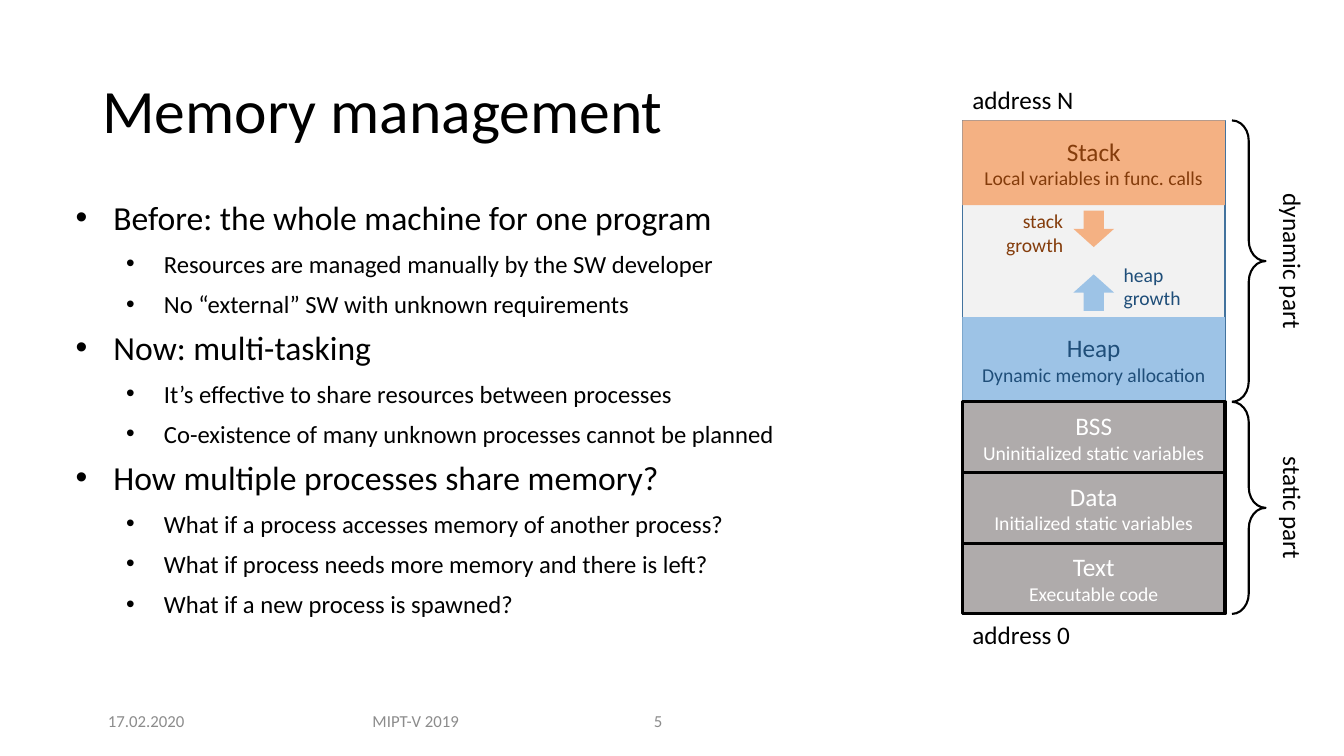
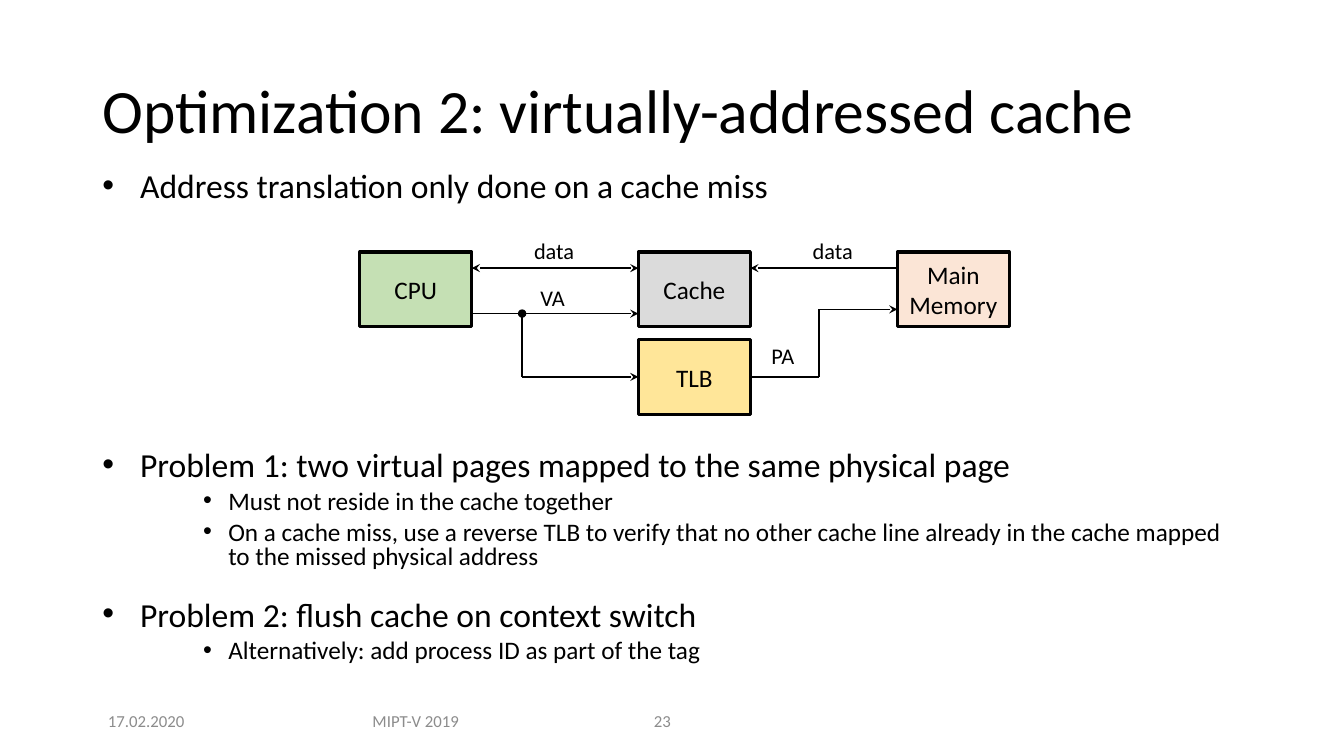
from lxml import etree
from pptx import Presentation
from pptx.dml.color import RGBColor
from pptx.enum.shapes import MSO_CONNECTOR, MSO_SHAPE
from pptx.enum.text import MSO_ANCHOR, PP_ALIGN
from pptx.oxml.ns import qn
from pptx.util import Pt

RECT, OVAL = MSO_SHAPE.RECTANGLE, MSO_SHAPE.OVAL
UP_ARROW, DOWN_ARROW = MSO_SHAPE.UP_ARROW, MSO_SHAPE.DOWN_ARROW
RIGHT_BRACE = MSO_SHAPE.RIGHT_BRACE
STRAIGHT = MSO_CONNECTOR.STRAIGHT
LEFT, CENTER, RIGHT = PP_ALIGN.LEFT, PP_ALIGN.CENTER, PP_ALIGN.RIGHT
TOP, MIDDLE = MSO_ANCHOR.TOP, MSO_ANCHOR.MIDDLE

FONT = "Calibri"
BLACK, WHITE, FOOTER_GRAY = "000000", "FFFFFF", "8C8C8C"
STACK_FILL, STACK_TEXT = "F4B183", "843C0B"
HEAP_FILL, HEAP_TEXT = "9DC3E6", "1F4E79"
STATIC_FILL, FREE_FILL, FREE_LINE = "AFABAB", "F2F2F2", "43739E"
rgb = RGBColor.from_string


def add_box(s, preset, x, y, w, h, fill=None, line=None, weight=1):
    sp = s.shapes.add_shape(preset, Pt(x), Pt(y), Pt(w), Pt(h))
    sp.shadow.inherit = False
    if fill:
        sp.fill.solid()
        sp.fill.fore_color.rgb = rgb(fill)
    else:
        sp.fill.background()
    if line:
        sp.line.color.rgb = rgb(line)
        sp.line.width = Pt(weight)
    else:
        sp.line.fill.background()
    return sp


def write(sp, lines, color=BLACK, align=LEFT, anchor=TOP, wrap=True, spacing=1.0):
    """Fill a shape with (text, size) paragraphs."""
    tf = sp.text_frame
    tf.word_wrap = wrap
    tf.vertical_anchor = anchor
    for i, (text, size) in enumerate(lines):
        p = tf.add_paragraph() if i else tf.paragraphs[0]
        p.text = text
        p.alignment = align
        p.line_spacing = spacing
        font = p.runs[0].font
        font.name, font.size, font.color.rgb = FONT, Pt(size), rgb(color)


# Levels give left indent, hanging indent, text size and space before
MEMORY_LEVELS = {0: (27, 27, 24, 12), 1: (63, 27, 17.6, 12)}
CACHE_LEVELS = {0: (27, 27, 24, 10), 2: (90, 18, 18, 5)}

# Bodies give the box, the levels, the space after a group, and the items
SLIDES = [
    ("Memory management", "5", [
        ((47, 143, 612, 325), MEMORY_LEVELS, 0, [
            (0, "Before: the whole machine for one program"),
            (1, "Resources are managed manually by the SW developer"),
            (1, "No “external” SW with unknown requirements"),
            (0, "Now: multi-tasking"),
            (1, "It’s effective to share resources between processes"),
            (1, "Co-existence of many unknown processes cannot be planned"),
            (0, "How multiple processes share memory?"),
            (1, "What if a process accesses memory of another process?"),
            (1, "What if process needs more memory and there is left?"),
            (1, "What if a new process is spawned?"),
        ]),
    ]),
    ("Optimization 2: virtually-addressed cache", "23", [
        ((66, 120, 828, 40), CACHE_LEVELS, 0, [
            (0, "Address translation only done on a cache miss"),
        ]),
        ((66, 319, 828, 170), CACHE_LEVELS, 12, [
            (0, "Problem 1: two virtual pages mapped to the same physical page"),
            (2, "Must not reside in the cache together"),
            (2, "On a cache miss, use a reverse TLB to verify that no other cache line "
                "already in the cache mapped to the missed physical address"),
            (0, "Problem 2: flush cache on context switch"),
            (2, "Alternatively: add process ID as part of the tag"),
        ]),
    ]),
]

prs = Presentation()
prs.slide_width, prs.slide_height = Pt(960), Pt(540)

# Title, footer and bullets of every slide
for title, number, bodies in SLIDES:
    s = prs.slides.add_slide(prs.slide_layouts[6])
    tb = s.shapes.add_textbox(Pt(66), Pt(29), Pt(828), Pt(104))
    write(tb, [(title, 44)], anchor=MIDDLE, spacing=0.9)
    for text, x, w, align in [("17.02.2020", 66, 77, CENTER),
                              ("MIPT-V 2019", 240, 114, CENTER),
                              (number, 460, 57, LEFT)]:
        tb = s.shapes.add_textbox(Pt(x), Pt(500), Pt(w), Pt(29))
        write(tb, [(text, 12)], FOOTER_GRAY, align, MIDDLE)

    for box, levels, group_gap, items in bodies:
        tb = s.shapes.add_textbox(*map(Pt, box))
        write(tb, [(text, levels[level][2]) for level, text in items], spacing=0.8)
        for i, (p, (level, _)) in enumerate(zip(tb.text_frame.paragraphs, items)):
            indent, hanging, _, before = levels[level]
            p.level = level
            pPr = p._p.get_or_add_pPr()
            pPr.set("marL", str(Pt(indent)))
            pPr.set("indent", str(-Pt(hanging)))
            etree.SubElement(pPr, qn("a:buFont"), typeface="Arial")
            etree.SubElement(pPr, qn("a:buChar"), char="•")
            if i:
                p.space_before = Pt(before)
            if group_gap and i + 1 < len(items) and level and items[i + 1][0] == 0:
                p.space_after = Pt(group_gap)

memory_slide, cache_slide = prs.slides

# Memory map
s = memory_slide
MAP_X, MAP_Y, MAP_W = 687.5, 86, 187.5
DYNAMIC_H, SEGMENT_H, STATIC_H = 201, 60.5, 50.5
static_y = MAP_Y + DYNAMIC_H
map_h = DYNAMIC_H + 3 * STATIC_H

add_box(s, RECT, MAP_X, MAP_Y, MAP_W, map_h, FREE_FILL, FREE_LINE)
segments = [
    ("Stack", "Local variables in func. calls", MAP_Y, SEGMENT_H,
     STACK_FILL, None, STACK_TEXT),
    ("Heap", "Dynamic memory allocation", static_y - SEGMENT_H, SEGMENT_H,
     HEAP_FILL, None, HEAP_TEXT),
]
for i, (name, detail) in enumerate([("BSS", "Uninitialized static variables"),
                                    ("Data", "Initialized static variables"),
                                    ("Text", "Executable code")]):
    segments.append((name, detail, static_y + i * STATIC_H, STATIC_H,
                     STATIC_FILL, BLACK, WHITE))
for name, detail, y, h, fill, line, color in segments:
    sp = add_box(s, RECT, MAP_X, y, MAP_W, h, fill, line, 2.25)
    write(sp, [(name, 18), (detail, 14)], color, CENTER, MIDDLE)

for preset, y, fill in [(DOWN_ARROW, 150.5, STACK_FILL), (UP_ARROW, 196, HEAP_FILL)]:
    add_box(s, preset, MAP_X + MAP_W / 2 - 14.5, y, 29, 26, fill)

for text, x, y, w, h, size, color, align in [
        ("stack growth", MAP_X, 146, 79, 41, 14, STACK_TEXT, RIGHT),
        ("heap growth", 795.5, 184, 79, 41, 14, HEAP_TEXT, LEFT),
        ("address N", MAP_X, MAP_Y - 29, 107, 29, 18, BLACK, LEFT),
        ("address 0", MAP_X, MAP_Y + map_h, 107, 29, 18, BLACK, LEFT)]:
    tb = s.shapes.add_textbox(Pt(x), Pt(y), Pt(w), Pt(h))
    write(tb, [(text, size)], color, align)

for text, y, h in [("dynamic part", MAP_Y, DYNAMIC_H),
                   ("static part", static_y, 3 * STATIC_H)]:
    brace = add_box(s, RIGHT_BRACE, 880, y, 24, h, line=BLACK, weight=1.5)
    brace.adjustments[0] = 0.61
    tb = s.shapes.add_textbox(Pt(865), Pt(y + h / 2 - 14.5), Pt(117), Pt(29))
    tb.rotation = 90
    write(tb, [(text, 18)], align=CENTER)

# Cache diagram
s = cache_slide
BLOCK_W, BLOCK_H = 80, 53.5
CPU_X, CACHE_X, MAIN_X = 257, 456, 641
ROW_Y, TLB_Y = 180, 242.5
DATA_Y, VA_Y, PA_Y = 191.5, 224, 221
VA_X, PA_X = 373, 585
cpu_right, cache_right = CPU_X + BLOCK_W, CACHE_X + BLOCK_W
tlb_mid = TLB_Y + BLOCK_H / 2

blocks = {}
for name, x, y, fill in [("CPU", CPU_X, ROW_Y, "C5E0B4"),
                         ("Cache", CACHE_X, ROW_Y, "DBDBDB"),
                         ("TLB", CACHE_X, TLB_Y, "FFE699"),
                         ("Main Memory", MAIN_X, ROW_Y, "FBE5D6")]:
    sp = add_box(s, RECT, x, y, BLOCK_W, BLOCK_H, fill, BLACK, 2.25)
    write(sp, [(word, 18) for word in name.split()], align=CENTER, anchor=MIDDLE,
          wrap=False)
    blocks[name] = sp

# Ends, arrowheads at start and end, and the side of the TLB where the line ends
for x1, y1, x2, y2, head, tail, tlb_side in [
        (CACHE_X, DATA_Y, cpu_right, DATA_Y, True, True, None),
        (MAIN_X, DATA_Y, cache_right, DATA_Y, False, True, None),
        (cpu_right, VA_Y, CACHE_X, VA_Y, False, True, None),
        (VA_X, VA_Y, VA_X, tlb_mid, False, False, None),
        (VA_X, tlb_mid, CACHE_X, tlb_mid, False, True, 1),
        (PA_X, tlb_mid, cache_right, tlb_mid, False, False, 3),
        (PA_X, tlb_mid, PA_X, PA_Y, False, False, None),
        (PA_X, PA_Y, MAIN_X, PA_Y, False, True, None)]:
    c = s.shapes.add_connector(STRAIGHT, Pt(x1), Pt(y1), Pt(x2), Pt(y2))
    if tlb_side is not None:
        c.end_connect(blocks["TLB"], tlb_side)
    c.line.color.rgb = rgb(BLACK)
    c.line.width = Pt(1)
    spPr = c._element.spPr
    ln = spPr.find(qn("a:ln"))
    for tag, shown in [("a:headEnd", head), ("a:tailEnd", tail)]:
        if shown:
            etree.SubElement(ln, qn(tag), type="stealth")
    etree.SubElement(spPr, qn("a:effectLst"))

add_box(s, OVAL, VA_X - 2.5, VA_Y - 2.5, 5, 5, BLACK, BLACK)

for text, x, y, w in [("data", 376.5, 170.5, 39), ("data", 575.5, 170.5, 39),
                      ("VA", 381, 204, 28), ("PA", 546, 245.5, 27)]:
    tb = s.shapes.add_textbox(Pt(x), Pt(y), Pt(w), Pt(20))
    write(tb, [(text, 16)], wrap=False, spacing=0.85)
    tf = tb.text_frame
    tf.margin_left = tf.margin_right = Pt(5)
    tf.margin_top = tf.margin_bottom = Pt(2)

prs.save("out.pptx")
